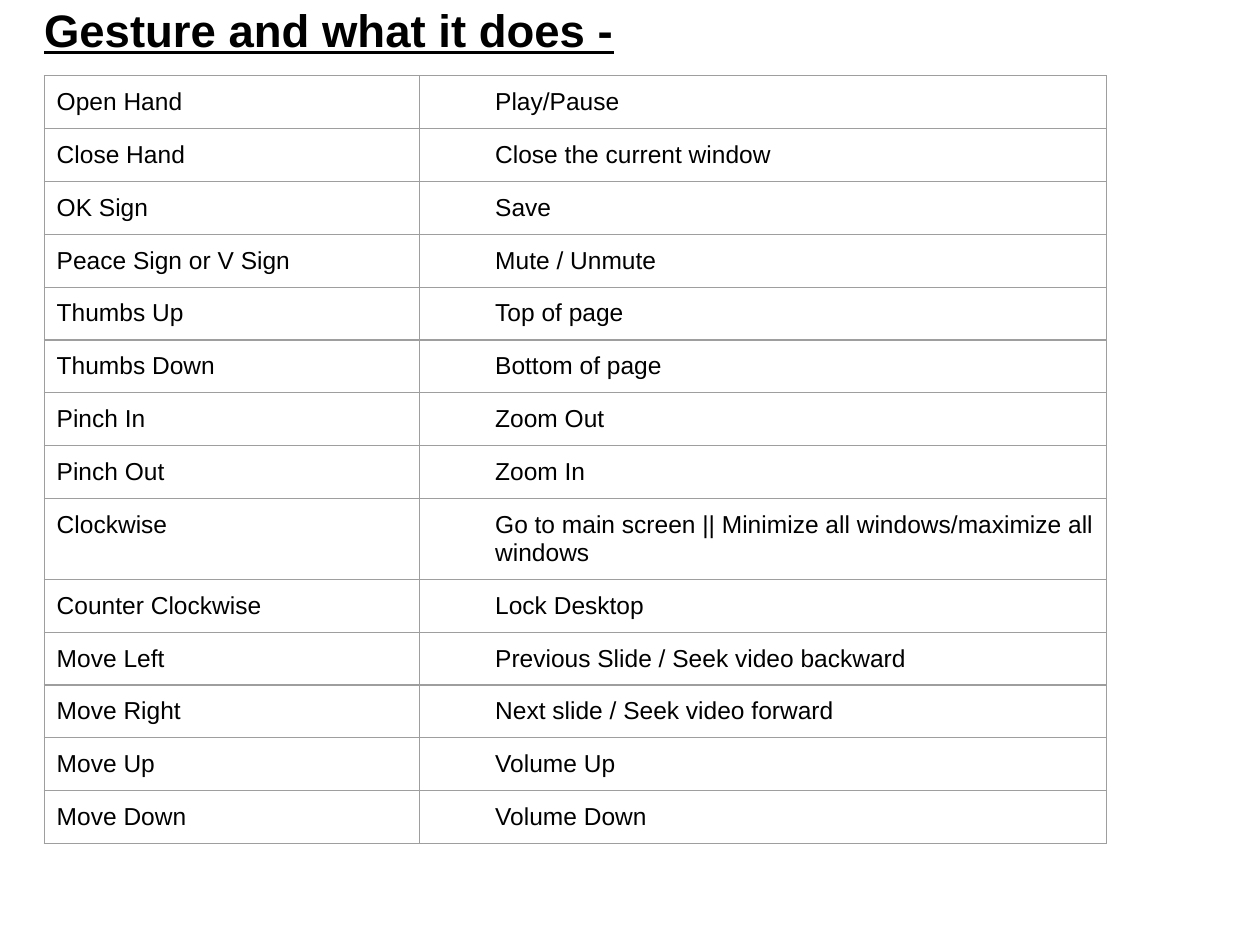
from typing import NamedTuple

import pptx
import pptx.dml.color
import pptx.enum.text
import pptx.oxml
import pptx.oxml.ns
import pptx.util

Inches = pptx.util.Inches
Pt = pptx.util.Pt

FONT = "Arial"
BLACK = "000000"
GRID = "9E9E9E"
LEFT = 0.35
COLUMN_WIDTHS = (2.98, 5.45)
ACTION_INDENT = 0.5
LINE_HEIGHT = 0.22
CELL_MARGIN = 0.1


class Gesture(NamedTuple):
    name: str
    action: str
    lines: int = 1


GESTURES = [
    Gesture("Open Hand", "Play/Pause"),
    Gesture("Close Hand", "Close the current window"),
    Gesture("OK Sign", "Save"),
    Gesture("Peace Sign or V Sign", "Mute / Unmute"),
    Gesture("Thumbs Up", "Top of page"),
    Gesture("Thumbs Down", "Bottom of page"),
    Gesture("Pinch In", "Zoom Out"),
    Gesture("Pinch Out", "Zoom In"),
    Gesture("Clockwise", "Go to main screen || Minimize all windows/maximize all windows", 2),
    Gesture("Counter Clockwise", "Lock Desktop"),
    Gesture("Move Left", "Previous Slide / Seek video backward"),
    Gesture("Move Right", "Next slide / Seek video forward"),
    Gesture("Move Up", "Volume Up"),
    Gesture("Move Down", "Volume Down"),
]


def rgb(color: str) -> pptx.dml.color.RGBColor:
    return pptx.dml.color.RGBColor.from_string(color)


def format_font(font, size: float) -> None:
    font.name = FONT
    font.size = Pt(size)
    font.color.rgb = rgb(BLACK)


def set_borders(cell, color: str, width: float) -> None:
    """Outline all four sides; borders must precede the cell's fill."""
    tc_pr = cell._tc.get_or_add_tcPr()
    for i, side in enumerate(("lnL", "lnR", "lnT", "lnB")):
        tc_pr.insert(i, pptx.oxml.parse_xml(
            f'<a:{side} {pptx.oxml.ns.nsdecls("a")} w="{Pt(width)}">'
            f'<a:solidFill><a:srgbClr val="{color}"/></a:solidFill></a:{side}>'))


def fill_cell(cell, text: str, indent: float = 0) -> None:
    cell.fill.background()
    cell.margin_left = cell.margin_right = Inches(CELL_MARGIN)
    cell.margin_top = cell.margin_bottom = Inches(CELL_MARGIN)
    set_borders(cell, GRID, 0.75)
    p = cell.text_frame.paragraphs[0]
    p.text = text
    if indent:
        p_pr = p._p.get_or_add_pPr()
        p_pr.set("marL", str(Inches(indent)))
        p_pr.set("indent", "0")
    format_font(p.runs[0].font, 14)


def add_title(slide, text: str) -> None:
    title = slide.shapes.title
    title.left, title.top = Inches(LEFT), Inches(-0.39)
    title.width, title.height = Inches(9), Inches(1.25)
    tf = title.text_frame
    tf.text = text
    tf.margin_left = tf.margin_right = tf.margin_top = tf.margin_bottom = 0
    tf.vertical_anchor = pptx.enum.text.MSO_ANCHOR.MIDDLE
    p = tf.paragraphs[0]
    p.alignment = pptx.enum.text.PP_ALIGN.LEFT
    font = p.runs[0].font
    format_font(font, 26)
    font.bold = font.underline = True


def add_gesture_table(slide, gestures: list[Gesture]) -> None:
    heights = [2 * CELL_MARGIN + g.lines * LINE_HEIGHT for g in gestures]
    table = slide.shapes.add_table(
        len(gestures), len(COLUMN_WIDTHS), Inches(LEFT), Inches(0.6),
        Inches(sum(COLUMN_WIDTHS)), Inches(sum(heights))).table
    table.first_row = table.horz_banding = False
    for column, width in zip(table.columns, COLUMN_WIDTHS):
        column.width = Inches(width)
    for row, height, gesture in zip(table.rows, heights, gestures):
        row.height = Inches(height)
        fill_cell(row.cells[0], gesture.name)
        fill_cell(row.cells[1], gesture.action, ACTION_INDENT)


def main() -> None:
    prs = pptx.Presentation()
    prs.slide_width, prs.slide_height = Inches(10), Inches(7.5)
    slide = prs.slides.add_slide(prs.slide_layouts[5])
    add_title(slide, "Gesture and what it does -")
    add_gesture_table(slide, GESTURES)
    prs.save("out.pptx")


if __name__ == "__main__":
    main()
